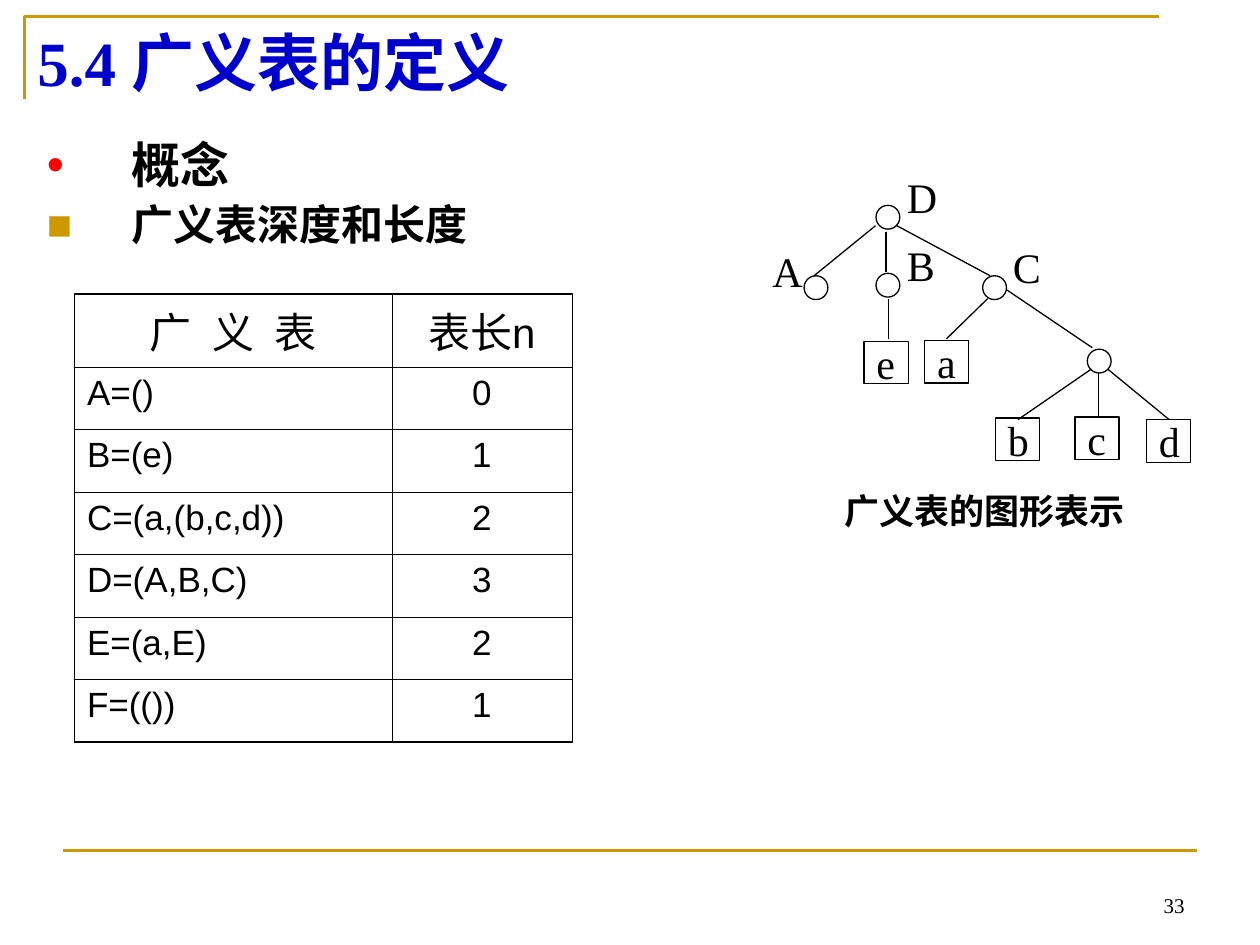
from lxml import etree
from pptx import Presentation
from pptx.dml.color import RGBColor
from pptx.enum import shapes, text
from pptx.oxml import ns
from pptx.util import Cm, Pt

BLACK, GOLD, BLUE, RED = "000000", "CC9900", "0000CC", "FF0000"
SERIF, SANS, CHINESE = "Times New Roman", "Arial", "Noto Sans CJK SC"
NODE_SIZE = 0.48
BOX_WIDTH, BOX_HEIGHT = 0.89, 0.86

NODES = [(17.66, 4.14), (16.21, 5.56), (17.66, 5.51), (19.81, 5.56), (21.92, 7.04)]
LABELS = {"A": (15.32, 5.03), "B": (18.03, 4.9), "C": (20.17, 4.95), "D": (18.03, 3.53)}
LEAVES = {"e": (17.42, 6.88), "a": (18.64, 6.86), "b": (20.07, 8.43),
          "c": (21.67, 8.41), "d": (23.11, 8.46)}
BRANCHES = [
    (17.86, 4.67, 17.86, 5.49), (17.65, 4.55, 16.41, 5.56), (18.08, 4.55, 19.96, 5.56),
    (17.91, 6.02, 17.91, 6.83), (19.91, 6.02, 19.08, 6.83), (20.29, 5.84, 22.02, 7.01),
    (22.0, 7.44, 20.52, 8.46), (22.15, 7.52, 22.15, 8.38), (22.33, 7.44, 23.57, 8.46),
]
ROWS = [("广 义 表", "表长n"), ("A=()", "0"), ("B=(e)", "1"), ("C=(a,(b,c,d))", "2"),
        ("D=(A,B,C)", "3"), ("E=(a,E)", "2"), ("F=(())", "1")]


def rgb(color):
    return RGBColor.from_string(color)


def add_xml(parent, tag, **attributes):
    return etree.SubElement(parent, ns.qn(tag), **attributes)


def style_paragraph(paragraph, size, font=SERIF, color=BLACK, bold=False,
                    align=text.PP_ALIGN.LEFT):
    paragraph.alignment = align
    paragraph.font.size = Pt(size)
    paragraph.font.bold = bold
    paragraph.font.name = font
    paragraph.font.color.rgb = rgb(color)
    defaults = paragraph._p.pPr.find(ns.qn("a:defRPr"))
    defaults.find(ns.qn("a:latin")).addnext(
        etree.Element(ns.qn("a:ea"), typeface=CHINESE))


def place(shape, left, top, width, height):
    shape.left, shape.top = Cm(left), Cm(top)
    shape.width, shape.height = Cm(width), Cm(height)


def style_outline(shape, color, width):
    shape.shadow.inherit = False
    shape.fill.background()
    shape.line.color.rgb = rgb(color)
    shape.line.width = Pt(width)


def write(shape, content, size, wrap=True, anchor=text.MSO_ANCHOR.MIDDLE, **style):
    frame = shape.text_frame
    frame.word_wrap = wrap
    frame.auto_size = text.MSO_AUTO_SIZE.NONE
    frame.vertical_anchor = anchor
    frame.text = content
    style_paragraph(frame.paragraphs[0], size, **style)


def add_text(slide, content, left, top, width, height, size, **options):
    box = slide.shapes.add_textbox(Cm(left), Cm(top), Cm(width), Cm(height))
    write(box, content, size, **options)


def add_outline(slide, kind, left, top, width, height):
    shape = slide.shapes.add_shape(kind, Cm(left), Cm(top), Cm(width), Cm(height))
    style_outline(shape, BLACK, 0.75)
    return shape


def add_line(slide, x1, y1, x2, y2, color=BLACK, width=0.75):
    line = slide.shapes.add_connector(
        shapes.MSO_CONNECTOR.STRAIGHT, Cm(x1), Cm(y1), Cm(x2), Cm(y2))
    line.line.color.rgb = rgb(color)
    line.line.width = Pt(width)
    add_xml(line._element.spPr, "a:effectLst")


def add_frame(slide):
    builder = slide.shapes.build_freeform(Cm(0.5), Cm(2), scale=1.0)
    builder.add_line_segments([(Cm(0.5), Cm(0.33)), (Cm(23.37), Cm(0.33))], close=False)
    style_outline(builder.convert_to_shape(), GOLD, 1.5)


def add_bullet(paragraph, symbol, color):
    properties = paragraph._p.get_or_add_pPr()
    properties.set("marL", str(Cm(1.7)))
    properties.set("indent", str(Cm(-1.7)))
    add_xml(add_xml(properties, "a:buClr"), "a:srgbClr", val=color)
    add_xml(properties, "a:buFont", typeface=SANS)
    add_xml(properties, "a:buChar", char=symbol)


def fill_body(body):
    place(body, 0.69, 2.72, 23.39, 13.2)
    frame = body.text_frame
    frame.auto_size = text.MSO_AUTO_SIZE.NONE
    frame.text = "概念\n广义表深度和长度"
    bullets = [("•", RED, 28, 0), ("■", GOLD, 24, 6)]
    for paragraph, (symbol, color, size, before) in zip(frame.paragraphs, bullets):
        paragraph.line_spacing = 0.9
        paragraph.space_before = Pt(before)
        add_bullet(paragraph, symbol, color)
        style_paragraph(paragraph, size, font=CHINESE, bold=True)


def set_borders(cell, widths):
    properties = cell._tc.get_or_add_tcPr()
    for side, width in widths.items():
        line = add_xml(properties, f"a:ln{side}", w=str(Pt(width)))
        add_xml(add_xml(line, "a:solidFill"), "a:srgbClr", val=BLACK)


def add_length_table(slide):
    table = slide.shapes.add_table(
        len(ROWS), 2, Cm(1.5), Cm(5.92), Cm(10.03), Cm(9.02)).table
    table.first_row = table.horz_banding = False
    table.columns[0].width, table.columns[1].width = Cm(6.4), Cm(3.63)
    last = len(ROWS) - 1
    for r, values in enumerate(ROWS):
        table.rows[r].height = Cm(1.26 if r else 1.46)
        for c, value in enumerate(values):
            cell = table.cell(r, c)
            cell.text = value
            centred = r == 0 or c == 1
            style_paragraph(
                cell.text_frame.paragraphs[0], 20 if r else 24, font=SANS,
                align=text.PP_ALIGN.CENTER if centred else text.PP_ALIGN.LEFT)
            set_borders(cell, {"L": 0.45 if c else 1.08, "R": 0.45,
                               "T": 0.45 if r else 1.08,
                               "B": 1.08 if r == last else 0.45})
            cell.fill.background()
    heading = table.cell(0, 0).text_frame.paragraphs[0].runs[0]
    heading._r.get_or_add_rPr().set("spc", "330")


def add_tree(slide):
    for letter, (left, top) in LEAVES.items():
        leaf = add_outline(slide, shapes.MSO_SHAPE.RECTANGLE,
                           left, top, BOX_WIDTH, BOX_HEIGHT)
        write(leaf, letter, 24, wrap=False)
    for left, top in NODES:
        add_outline(slide, shapes.MSO_SHAPE.OVAL, left, top, NODE_SIZE, NODE_SIZE)
    for letter, (left, top) in LABELS.items():
        add_text(slide, letter, left, top, BOX_WIDTH, BOX_HEIGHT, 24, wrap=False)
    for branch in BRANCHES:
        add_line(slide, *branch)
    add_text(slide, "广义表的图形表示", 15.09, 9.75, 9.53, 1.07, 20,
             font=SANS, bold=True, align=text.PP_ALIGN.CENTER)


def main():
    presentation = Presentation()
    presentation.slide_width, presentation.slide_height = Cm(25.4), Cm(19.05)
    slide = presentation.slides.add_slide(presentation.slide_layouts[1])
    add_frame(slide)
    add_line(slide, 1.27, 17.15, 24.13, 17.15, GOLD, 1.5)
    add_text(slide, "33", 18.21, 17.35, 5.92, 1.27, 12,
             anchor=text.MSO_ANCHOR.BOTTOM, align=text.PP_ALIGN.RIGHT)
    fill_body(slide.placeholders[1])
    title = slide.shapes.title
    place(title, 0.5, 0.33, 22.87, 1.8)
    write(title, "5.4 广义表的定义", 36, color=BLUE, bold=True)
    add_length_table(slide)
    add_tree(slide)
    presentation.save("out.pptx")


if __name__ == "__main__":
    main()
